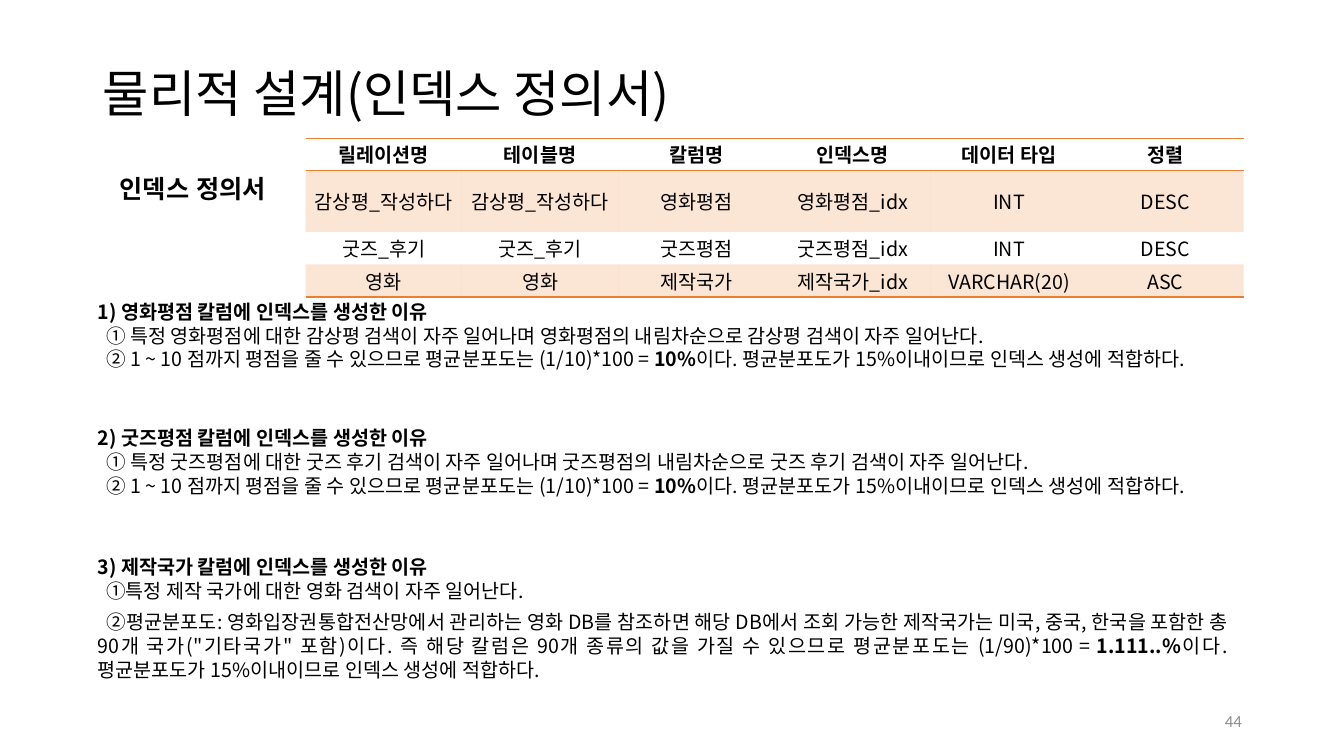
"""Build the index definition slide of a physical database design deck."""
from dataclasses import dataclass

from lxml import etree
from pptx import Presentation
from pptx import util as u
from pptx.dml.color import RGBColor
from pptx.enum import text
from pptx.oxml import ns

KOREAN = "Noto Sans CJK KR"
BLACK, ORANGE, GRAY = "000000", "ED7D31", "8C8C8C"
PLAIN_TABLE_STYLE = "{2D5ABB26-0587-4C30-8999-92F81FD0307C}"
FIT = "평균분포도가 15%이내이므로 인덱스 생성에 적합하다."
RATING = "② 1 ~ 10 점까지 평점을 줄 수 있으므로 평균분포도는 (1/10)*100 = "


@dataclass(frozen=True)
class Area:
    left: float
    top: float
    width: float
    height: float

    def lengths(self) -> tuple:
        return tuple(u.Cm(n) for n in (self.left, self.top, self.width, self.height))


@dataclass(frozen=True)
class Style:
    size: float
    font: str = KOREAN
    color: str = BLACK
    bold: bool = False
    align: int = text.PP_ALIGN.JUSTIFY


@dataclass(frozen=True)
class Line:
    lead: str
    strong: str = ""
    tail: str = ""
    before: float = 0


@dataclass(frozen=True)
class Reason:
    area: Area
    heading: str
    lines: tuple


TITLE = Style(36, align=text.PP_ALIGN.LEFT)
LABEL = Style(18, "Arial", bold=True)
HEADING = Style(14, bold=True)
BODY = Style(14)
HEADER_CELL = Style(14, bold=True, align=text.PP_ALIGN.CENTER)
CELL = Style(14, align=text.PP_ALIGN.CENTER)
PAGE_NUMBER = Style(12, "Calibri", GRAY, align=text.PP_ALIGN.RIGHT)

ROWS = (
    ("릴레이션명", "테이블명", "칼럼명", "인덱스명", "데이터 타입", "정렬"),
    ("감상평_작성하다", "감상평_작성하다", "영화평점", "영화평점_idx", "INT", "DESC"),
    ("굿즈_후기", "굿즈_후기", "굿즈평점", "굿즈평점_idx", "INT", "DESC"),
    ("영화", "영화", "제작국가", "제작국가_idx", "VARCHAR(20)", "ASC"),
)
ROW_HEIGHTS = (0.67, 1.3, 0.68, 0.68)
TABLE_AREA = Area(7.7, 3.48, 23.64, sum(ROW_HEIGHTS))

REASONS = (
    Reason(Area(2.21, 7.42, 29.44, 2.05), "1) 영화평점 칼럼에 인덱스를 생성한 이유", (
        Line("① 특정 영화평점에 대한 감상평 검색이 자주 일어나며 "
             "영화평점의 내림차순으로 감상평 검색이 자주 일어난다."),
        Line(RATING, "10%", f"이다. {FIT}"))),
    Reason(Area(2.21, 10.6, 29.44, 2.05), "2) 굿즈평점 칼럼에 인덱스를 생성한 이유", (
        Line("① 특정 굿즈평점에 대한 굿즈 후기 검색이 자주 일어나며 "
             "굿즈평점의 내림차순으로 굿즈 후기 검색이 자주 일어난다."),
        Line(RATING, "10%", f"이다. {FIT}"))),
    Reason(Area(2.21, 13.86, 28.98, 3.2), "3) 제작국가 칼럼에 인덱스를 생성한 이유", (
        Line("①특정 제작 국가에 대한 영화 검색이 자주 일어난다."),
        Line("②평균분포도: 영화입장권통합전산망에서 관리하는 영화 DB를 참조하면 해당 DB에서 "
             "조회 가능한 제작국가는 미국, 중국, 한국을 포함한 총 90개 국가(\"기타국가\" 포함)이다. "
             "즉 해당 칼럼은 90개 종류의 값을 가질 수 있으므로 평균분포도는 (1/90)*100 = ",
             "1.111..%", f"이다. {FIT}", before=5))),
)


def rgb(color: str) -> RGBColor:
    return RGBColor.from_string(color)


def format_paragraph(para, style: Style) -> None:
    para.alignment = style.align
    para.font.size = u.Pt(style.size)
    para.font.bold = style.bold
    para.font.color.rgb = rgb(style.color)
    para.font.name = style.font
    defaults = para.font._element
    etree.SubElement(defaults, ns.qn("a:ea"), typeface=style.font)


def add_text_box(page, area: Area, anchor=text.MSO_ANCHOR.TOP):
    frame = page.shapes.add_textbox(*area.lengths()).text_frame
    frame.word_wrap = True
    frame.vertical_anchor = anchor
    return frame


def add_label(page, area: Area, words: str, style: Style, anchor=text.MSO_ANCHOR.TOP) -> None:
    para = add_text_box(page, area, anchor).paragraphs[0]
    para.text = words
    format_paragraph(para, style)


def add_title(page, area: Area, words: str) -> None:
    title = page.shapes.title
    title.left, title.top, title.width, title.height = area.lengths()
    frame = title.text_frame
    frame.text = words
    frame.auto_size = text.MSO_AUTO_SIZE.NONE
    frame.vertical_anchor = text.MSO_ANCHOR.MIDDLE
    frame.paragraphs[0].line_spacing = 0.9
    format_paragraph(frame.paragraphs[0], TITLE)


def add_rule(cell, side: str) -> None:
    properties = cell._tc.get_or_add_tcPr()
    rule = etree.Element(ns.qn(f"a:{side}"), w=str(u.Pt(1)))
    fill = etree.SubElement(rule, ns.qn("a:solidFill"))
    etree.SubElement(fill, ns.qn("a:srgbClr"), val=ORANGE)
    borders = [child for child in properties if child.tag.endswith(("lnT", "lnB"))]
    properties.insert(len(borders), rule)


def fill_cell(cell, shaded: bool) -> None:
    if not shaded:
        cell.fill.background()
        return
    cell.fill.solid()
    cell.fill.fore_color.rgb = rgb(ORANGE)
    color = cell._tc.tcPr.find(f".//{ns.qn('a:srgbClr')}")
    etree.SubElement(color, ns.qn("a:alpha"), val="20000")


def add_index_table(page) -> None:
    holder = page.shapes.add_table(len(ROWS), len(ROWS[0]), *TABLE_AREA.lengths())
    holder.element.find(f".//{ns.qn('a:tableStyleId')}").text = PLAIN_TABLE_STYLE
    table = holder.table
    for index, (row, height) in enumerate(zip(ROWS, ROW_HEIGHTS)):
        table.rows[index].height = u.Cm(height)
        for column, words in enumerate(row):
            cell = table.cell(index, column)
            cell.text = words
            cell.vertical_anchor = text.MSO_ANCHOR.MIDDLE
            cell.margin_left = cell.margin_right = u.Cm(0.18)
            cell.margin_top = cell.margin_bottom = u.Cm(0.05)
            format_paragraph(cell.text_frame.paragraphs[0], CELL if index else HEADER_CELL)
            fill_cell(cell, index % 2 == 1)
            if index == 0:
                add_rule(cell, "lnT")
            if index in (0, len(ROWS) - 1):
                add_rule(cell, "lnB")


def add_reason(page, reason: Reason) -> None:
    frame = add_text_box(page, reason.area)
    heading = frame.paragraphs[0]
    heading.text = reason.heading
    heading.line_spacing = u.Pt(17)
    format_paragraph(heading, HEADING)
    for line in reason.lines:
        para = frame.add_paragraph()
        para.line_spacing = u.Pt(17)
        if line.before:
            para.space_before = u.Pt(line.before)
        para._p.get_or_add_pPr().set("indent", str(u.Cm(0.22)))
        format_paragraph(para, BODY)
        for words in filter(None, (line.lead, line.strong, line.tail)):
            span = para.add_run()
            span.text = words
            if words == line.strong:
                span.font.bold = True


def main() -> None:
    deck = Presentation()
    deck.slide_width, deck.slide_height = u.Cm(33.87), u.Cm(19.05)
    page = deck.slides.add_slide(deck.slide_layouts[5])
    add_title(page, Area(2.34, 0.58, 29.21, 3.68), "물리적 설계(인덱스 정의서)")
    add_index_table(page)
    add_label(page, Area(2.77, 4.24, 4.7, 1.02), "인덱스 정의서", LABEL)
    for reason in REASONS:
        add_reason(page, reason)
    add_label(page, Area(23.93, 17.65, 7.62, 1.02), "44", PAGE_NUMBER, text.MSO_ANCHOR.MIDDLE)
    deck.save("out.pptx")


if __name__ == "__main__":
    main()
